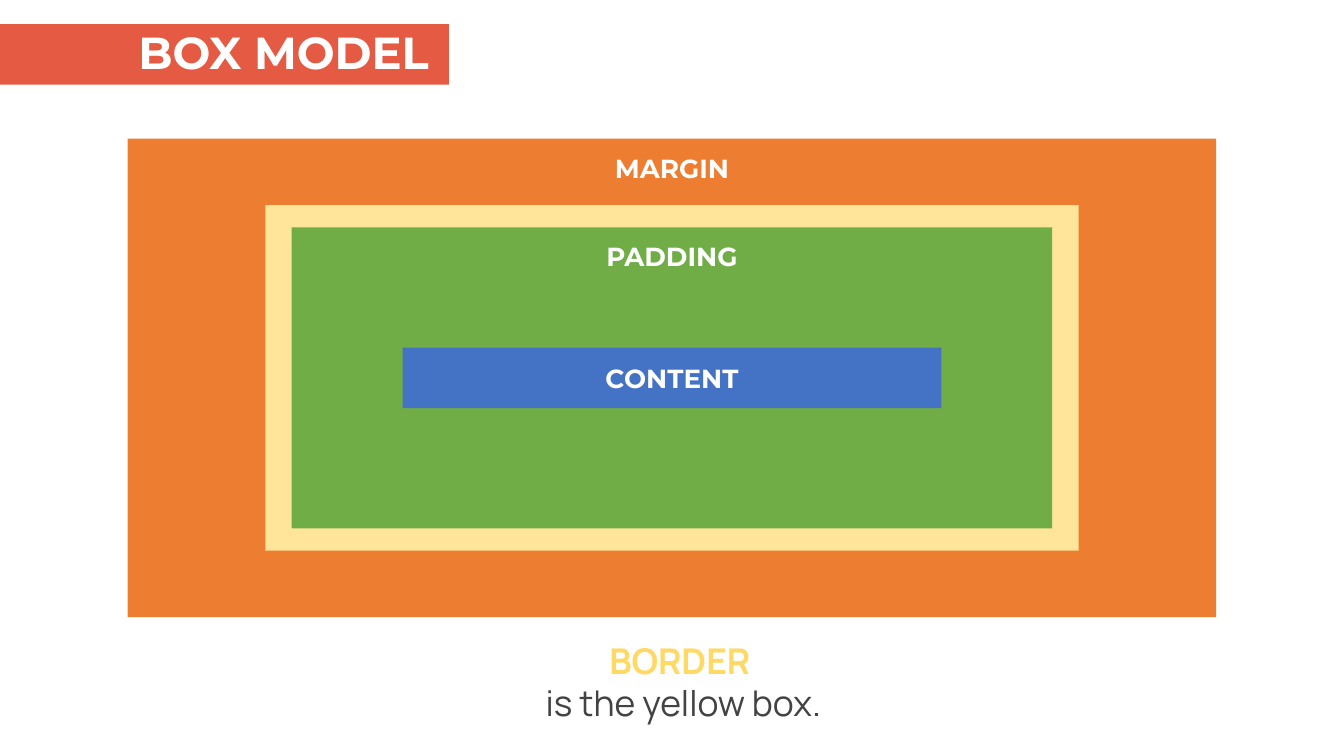
import pptx
import pptx.util
import pptx.dml.color
import pptx.enum.shapes
import pptx.enum.text

COLS, ROWS = 100, 56.25
WIDE = pptx.util.Inches(10)
HIGH = WIDE * 9 // 16
ALIGN = pptx.enum.text.PP_ALIGN
ANCHOR = pptx.enum.text.MSO_ANCHOR


def tint(code):
    return pptx.dml.color.RGBColor.from_string(code)


def write(par, text, font="Montserrat", size=14, color="FFFFFF", bold=True,
          align=ALIGN.CENTER, lead=1.0):
    par.alignment = align
    par.line_spacing = lead
    run = par.add_run()
    run.text = text
    run.font.name = font
    run.font.size = pptx.util.Pt(size)
    run.font.bold = bold
    run.font.color.rgb = tint(color)


class Deck:
    def __init__(self):
        self.file = pptx.Presentation()
        self.file.slide_width, self.file.slide_height = WIDE, HIGH
        self.slide = self.file.slides.add_slide(self.file.slide_layouts[5])
        self.slide.background.fill.solid()
        self.slide.background.fill.fore_color.rgb = tint("FFFFFF")

    def grid(self, left, top, wide, high):
        return [int(WIDE * left / COLS), int(HIGH * top / ROWS),
                int(WIDE * wide / COLS), int(HIGH * high / ROWS)]

    def frame(self, shape, anchor, pads=(0.1, 0.1, 0.1, 0.1)):
        frame = shape.text_frame
        frame.word_wrap = True
        frame.auto_size = pptx.enum.text.MSO_AUTO_SIZE.NONE
        frame.vertical_anchor = anchor
        (frame.margin_left, frame.margin_top,
         frame.margin_right, frame.margin_bottom) = map(pptx.util.Inches, pads)
        return frame

    def paint(self, shape, color):
        shape.fill.solid()
        shape.fill.fore_color.rgb = tint(color)
        shape.line.fill.background()

    def title(self, text, spot, color):
        shape = self.slide.shapes.title
        shape.left, shape.top, shape.width, shape.height = self.grid(*spot)
        self.paint(shape, color)
        frame = self.frame(shape, ANCHOR.BOTTOM, (0.75, 0.04, 0.15, 0.04))
        write(frame.paragraphs[0], text, size=24, align=ALIGN.RIGHT, lead=0.9)

    def layer(self, wide, high, color, label, anchor):
        spot = self.grid((COLS - wide) / 2, (ROWS - high) / 2, wide, high)
        shape = self.slide.shapes.add_shape(
            pptx.enum.shapes.MSO_SHAPE.RECTANGLE, *spot)
        shape.shadow.inherit = False
        self.paint(shape, color)
        if label:
            write(self.frame(shape, anchor).paragraphs[0], label)

    def note(self, spot, lines):
        shape = self.slide.shapes.add_textbox(*self.grid(*spot))
        frame = self.frame(shape, ANCHOR.MIDDLE)
        for row, (text, color, bold) in enumerate(lines):
            par = frame.add_paragraph() if row else frame.paragraphs[0]
            write(par, text, font="Manrope", size=19, color=color, bold=bold)


def main():
    deck = Deck()
    deck.title("BOX MODEL", (0, 1.8, 33.4, 4.5), "E55A43")
    for layer in [
        (81, 35.6, "ED7D31", "MARGIN", ANCHOR.TOP),
        (60.5, 25.7, "FFE599", "", ANCHOR.TOP),
        (56.6, 22.4, "70AD47", "PADDING", ANCHOR.TOP),
        (40.1, 4.5, "4472C4", "CONTENT", ANCHOR.MIDDLE),
    ]:
        deck.layer(*layer)
    deck.note((36.5, 47.2, 28.7, 7), [
        ("BORDER ", "FFD966", True),
        ("is the yellow box.", "434343", False),
    ])
    deck.file.save("out.pptx")


if __name__ == "__main__":
    main()
